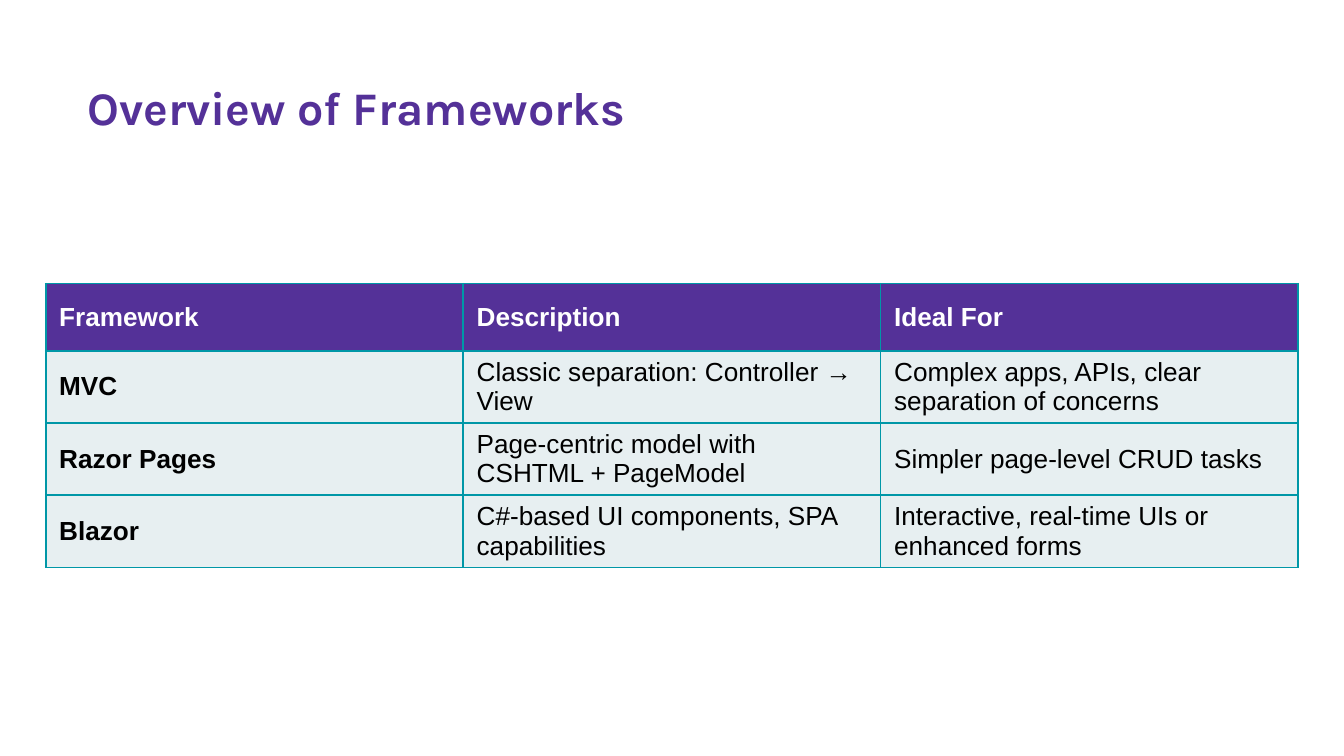
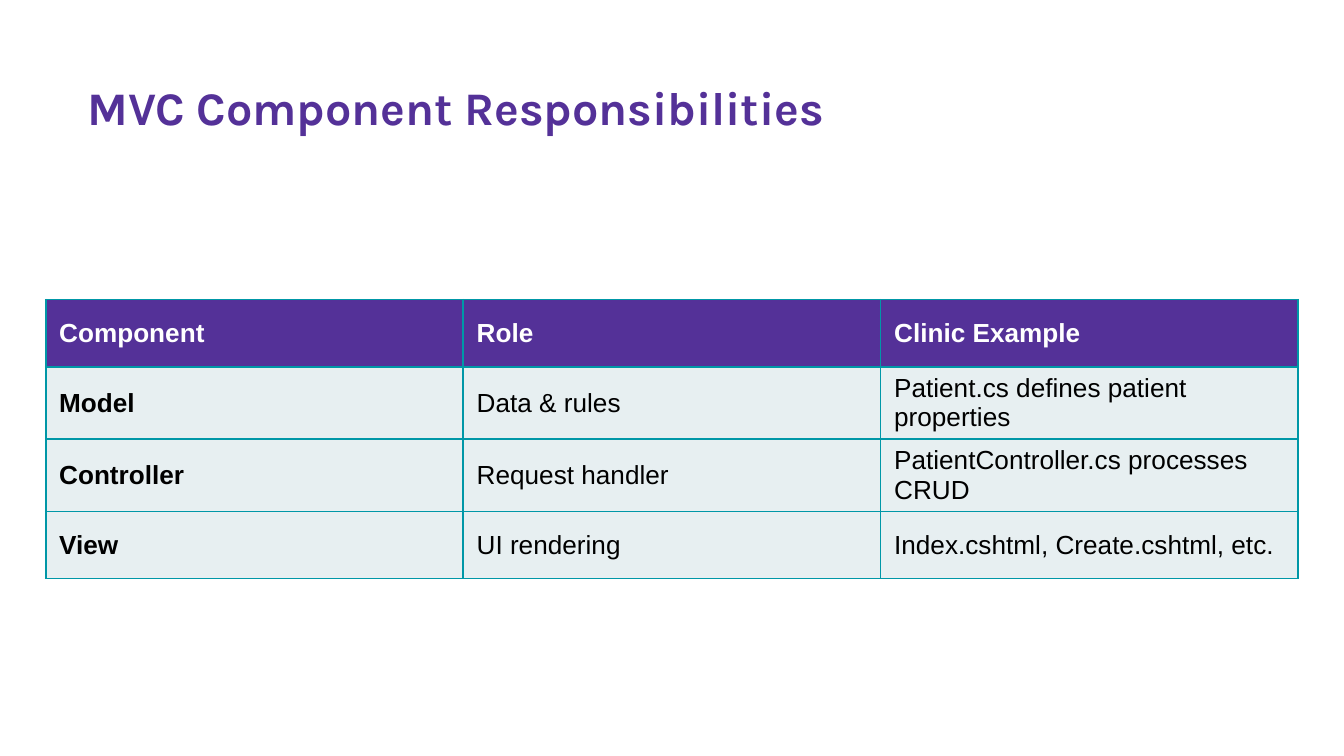
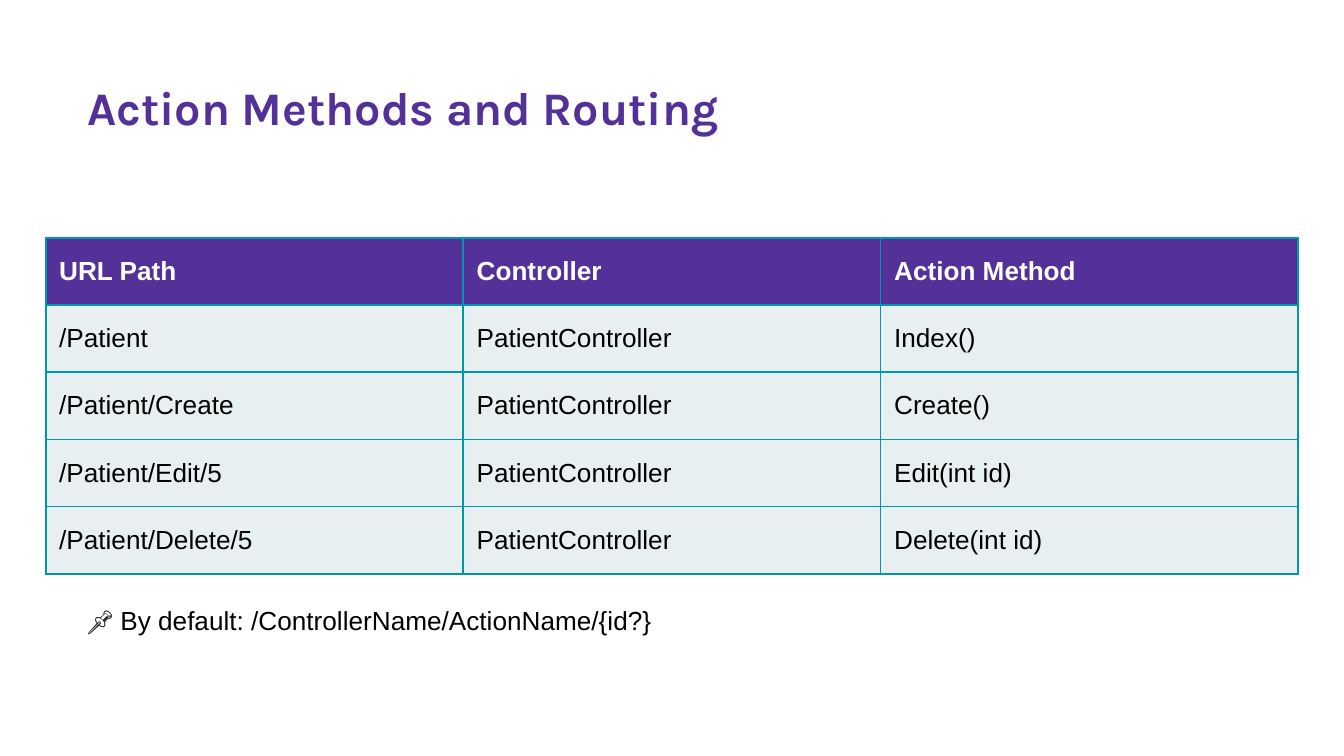
"""Build three table slides on web frameworks, MVC components and routing."""
from lxml import etree
from pptx import Presentation
from pptx import util as u
from pptx.dml.color import RGBColor
from pptx.enum import text
from pptx.oxml.ns import qn

PURPLE, TEAL, PALE, WHITE, BLACK = "543198", "0097A7", "E7EFF1", "FFFFFF", "000000"
ROW_H, TABLE_W = 0.5, 9.32

SLIDES = [
    ("Overview of Frameworks", 2.11, True, [
        ("Framework", "Description", "Ideal For"),
        ("MVC", "Classic separation: Controller → View",
         "Complex apps, APIs, clear separation of concerns"),
        ("Razor Pages", "Page-centric model with CSHTML + PageModel",
         "Simpler page-level CRUD tasks"),
        ("Blazor", "C#-based UI components, SPA capabilities",
         "Interactive, real‑time UIs or enhanced forms"),
    ]),
    ("MVC Component Responsibilities", 2.23, True, [
        ("Component", "Role", "Clinic Example"),
        ("Model", "Data & rules", "Patient.cs defines patient properties"),
        ("Controller", "Request handler", "PatientController.cs processes CRUD"),
        ("View", "UI rendering", "Index.cshtml, Create.cshtml, etc."),
    ]),
    ("Action Methods and Routing", 1.77, False, [
        ("URL Path", "Controller", "Action Method"),
        ("/Patient", "PatientController", "Index()"),
        ("/Patient/Create", "PatientController", "Create()"),
        ("/Patient/Edit/5", "PatientController", "Edit(int id)"),
        ("/Patient/Delete/5", "PatientController", "Delete(int id)"),
    ]),
]


def rgb(color):
    return RGBColor.from_string(color)


def write(tf, words, size=14, font="Arial", color=BLACK, bold=False):
    p = tf.paragraphs[0]
    p.alignment = text.PP_ALIGN.LEFT
    r = p.add_run()
    r.text = words
    r.font.size = u.Pt(size)
    r.font.name = font
    r.font.bold = bold
    r.font.color.rgb = rgb(color)


prs = Presentation()
prs.slide_width = u.Inches(10)
prs.slide_height = prs.slide_width * 9 // 16

for title, top, bold_labels, rows in SLIDES:
    s = prs.slides.add_slide(prs.slide_layouts[5])
    sp = s.shapes.title
    sp.left, sp.top = u.Inches(0.55), u.Inches(0.49)
    sp.width, sp.height = u.Inches(9.06), u.Inches(0.69)
    tf = sp.text_frame
    tf.margin_left = tf.margin_right = tf.margin_top = tf.margin_bottom = u.Inches(0.1)
    tf.vertical_anchor = text.MSO_ANCHOR.TOP
    tf.auto_size = text.MSO_AUTO_SIZE.NONE
    write(tf, title, size=25, font="Karla", color=PURPLE, bold=True)

    table = s.shapes.add_table(
        len(rows), len(rows[0]), u.Inches(0.34), u.Inches(top),
        u.Inches(TABLE_W), u.Inches(ROW_H * len(rows))).table
    table.horz_banding = False
    for i, row in enumerate(rows):
        for j, words in enumerate(row):
            cell = table.cell(i, j)
            tcPr = cell._tc.get_or_add_tcPr()
            for side in ("a:lnL", "a:lnR", "a:lnT", "a:lnB"):
                ln = etree.SubElement(tcPr, qn(side), w=str(u.Pt(1)))
                fill = etree.SubElement(ln, qn("a:solidFill"))
                etree.SubElement(fill, qn("a:srgbClr"), val=TEAL)
            header = i == 0
            cell.fill.solid()
            cell.fill.fore_color.rgb = rgb(PURPLE if header else PALE)
            cell.vertical_anchor = text.MSO_ANCHOR.MIDDLE
            write(cell.text_frame, words, color=WHITE if header else BLACK,
                  bold=header or (bold_labels and j == 0))

note = s.shapes.add_textbox(u.Inches(0.55), u.Inches(4.45), u.Inches(5), u.Inches(0.34))
note.text_frame.word_wrap = True
note.text_frame.auto_size = text.MSO_AUTO_SIZE.SHAPE_TO_FIT_TEXT
write(note.text_frame, "📌 By default: /ControllerName/ActionName/{id?}")

prs.save("out.pptx")
